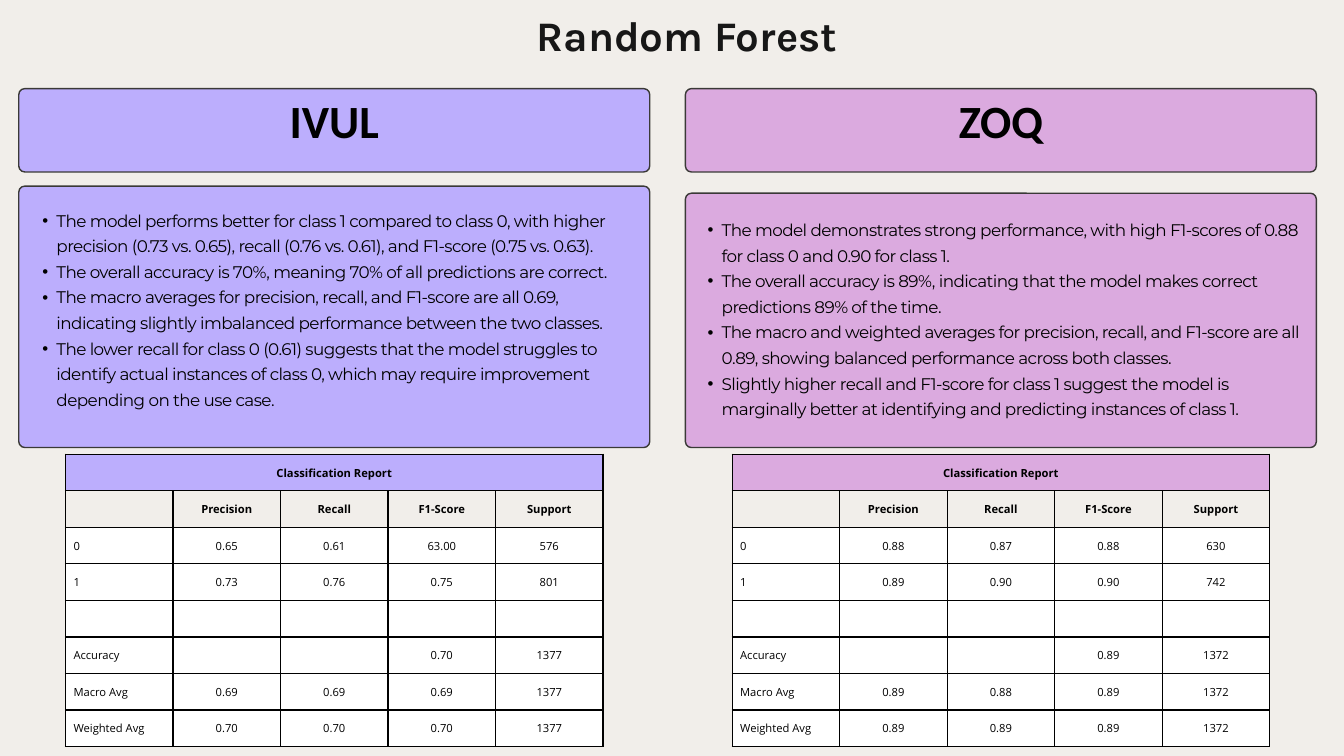
import pptx
import pptx.util
import pptx.dml.color
import pptx.enum.shapes
import pptx.enum.text
from lxml import etree

Pt = pptx.util.Pt
CENTER = pptx.enum.text.PP_ALIGN.CENTER
LEFT = pptx.enum.text.PP_ALIGN.LEFT
MIDDLE = pptx.enum.text.MSO_ANCHOR.MIDDLE
DRAWING = "{http://schemas.openxmlformats.org/drawingml/2006/main}"
BACKGROUND = "F1EEEA"
HEADINGS = ["", "Precision", "Recall", "F1-Score", "Support"]

MODELS = [
    {
        "name": "IVUL", "color": "BCAEFD", "left": 20.16,
        "card_top": 199.44, "text_top": 219.6, "text_left": 10.08,
        "points": [
            "The model performs better for class 1 compared to class 0, with higher precision (0.73 vs. 0.65), recall (0.76 vs. 0.61), and F1-score (0.75 vs. 0.63).",
            "The overall accuracy is 70%, meaning 70% of all predictions are correct.",
            "The macro averages for precision, recall, and F1-score are all 0.69, indicating slightly imbalanced performance between the two classes.",
            "The lower recall for class 0 (0.61) suggests that the model struggles to identify actual instances of class 0, which may require improvement depending on the use case.",
        ],
        "rows": [
            ["0", "0.65", "0.61", "63.00", "576"],
            ["1", "0.73", "0.76", "0.75", "801"],
            [""] * 5,
            ["Accuracy", "", "", "0.70", "1377"],
            ["Macro Avg", "0.69", "0.69", "0.69", "1377"],
            ["Weighted Avg", "0.70", "0.70", "0.70", "1377"],
        ],
    },
    {
        "name": "ZOQ", "color": "DBAADF", "left": 734.4,
        "card_top": 207, "text_top": 229.68, "text_left": 8.64,
        "points": [
            "The model demonstrates strong performance, with high F1-scores of 0.88 for class 0 and 0.90 for class 1.",
            "The overall accuracy is 89%, indicating that the model makes correct predictions 89% of the time.",
            "The macro and weighted averages for precision, recall, and F1-score are all 0.89, showing balanced performance across both classes.",
            "Slightly higher recall and F1-score for class 1 suggest the model is marginally better at identifying and predicting instances of class 1.",
        ],
        "rows": [
            ["0", "0.88", "0.87", "0.88", "630"],
            ["1", "0.89", "0.90", "0.90", "742"],
            [""] * 5,
            ["Accuracy", "", "", "0.89", "1372"],
            ["Macro Avg", "0.89", "0.88", "0.89", "1372"],
            ["Weighted Avg", "0.89", "0.89", "0.89", "1372"],
        ],
    },
]


def rgb(value):
    """Turn a hex string into a colour."""
    return pptx.dml.color.RGBColor.from_string(value)


def style_paragraph(paragraph, font, size, spacing, color="000000", bold=False, align=LEFT):
    """Set the font, line spacing and alignment of a paragraph."""
    paragraph.alignment = align
    paragraph.line_spacing = Pt(spacing)
    paragraph.font.name = font
    paragraph.font.size = Pt(size)
    paragraph.font.bold = bold
    paragraph.font.color.rgb = rgb(color)


def add_text_frame(slide, left, top, width, height):
    """Add a wrapping text box without margins and return its frame."""
    frame = slide.shapes.add_textbox(Pt(left), Pt(top), Pt(width), Pt(height)).text_frame
    frame.word_wrap = True
    frame.margin_left = frame.margin_right = frame.margin_top = frame.margin_bottom = 0
    return frame


def add_heading(slide, text, left, top, width, height, font, size, spacing, color="000000"):
    """Add one centred bold line."""
    paragraph = add_text_frame(slide, left, top, width, height).paragraphs[0]
    paragraph.text = text
    style_paragraph(paragraph, font, size, spacing, color, True, CENTER)


def add_card(slide, left, top, width, height, color):
    """Add an outlined card with small round corners."""
    card = slide.shapes.add_shape(
        pptx.enum.shapes.MSO_SHAPE.ROUNDED_RECTANGLE, Pt(left), Pt(top), Pt(width), Pt(height))
    card.adjustments[0] = 6.4 / min(width, height)
    card.shadow.inherit = False
    card.fill.solid()
    card.fill.fore_color.rgb = rgb(color)
    card.line.color.rgb = rgb("3A3937")
    card.line.width = Pt(1.5)


def add_bullets(slide, points, left, top, width, height):
    """Add the bulleted findings."""
    frame = add_text_frame(slide, left, top, width, height)
    for index, point in enumerate(points):
        paragraph = frame.add_paragraph() if index else frame.paragraphs[0]
        paragraph.text = point
        paragraph.level = 1
        properties = paragraph._p.get_or_add_pPr()
        properties.set("marL", str(Pt(30.24)))
        properties.set("indent", str(Pt(-15.12)))
        etree.SubElement(properties, DRAWING + "buFont", typeface="Arial")
        etree.SubElement(properties, DRAWING + "buChar", char="•")
        style_paragraph(paragraph, "Montserrat", 18, 27.4)
        properties.find(DRAWING + "defRPr").set("spc", "-60")


def add_borders(cell):
    """Draw a black line on every side of a cell."""
    properties = cell._tc.get_or_add_tcPr()
    for side in ("lnL", "lnR", "lnT", "lnB"):
        line = etree.SubElement(properties, DRAWING + side, w=str(Pt(1.5)))
        fill = etree.SubElement(line, DRAWING + "solidFill")
        etree.SubElement(fill, DRAWING + "srgbClr", val="000000")


def add_report(slide, model, left, top, width, height):
    """Add the classification report table."""
    rows = [["Classification Report", "", "", "", ""], HEADINGS] + model["rows"]
    fills = [model["color"], BACKGROUND] + ["FFFFFF"] * len(model["rows"])
    table = slide.shapes.add_table(
        len(rows), len(HEADINGS), Pt(left), Pt(top), Pt(width), Pt(height)).table
    table.first_row = table.horz_banding = False
    for row_index, (values, fill) in enumerate(zip(rows, fills)):
        header = row_index < 2
        for column_index, value in enumerate(values):
            cell = table.cell(row_index, column_index)
            add_borders(cell)
            cell.fill.solid()
            cell.fill.fore_color.rgb = rgb(fill)
            cell.vertical_anchor = MIDDLE
            cell.margin_left = cell.margin_right = cell.margin_top = cell.margin_bottom = Pt(8.64)
            cell.text = value
            align = CENTER if header or column_index else LEFT
            style_paragraph(cell.text_frame.paragraphs[0], "Open Sans", 12, 16.8,
                            bold=header, align=align)
    table.cell(0, 0).merge(table.cell(0, len(HEADINGS) - 1))


def add_model(slide, model, left, top, width, bottom):
    """Add one model's name, findings and report in a column."""
    color, card_top, text_top = model["color"], model["card_top"], model["text_top"]
    cards_bottom = top + 384.5
    add_card(slide, left, top, width, 89.28, color)
    add_heading(slide, model["name"], left, top + 10, width, 64, "Calibri", 49.5, 53)
    add_card(slide, left, card_top, width, cards_bottom - card_top, color)
    add_bullets(slide, model["points"], left + model["text_left"], text_top, 657,
                cards_bottom - text_top - 20)
    report_top = cards_bottom + 7.2
    add_report(slide, model, left + 50, report_top, 576, bottom - report_top)


def main():
    """Build and save the slide."""
    presentation = pptx.Presentation()
    presentation.slide_width = Pt(1440)
    presentation.slide_height = Pt(810)
    slide = presentation.slides.add_slide(presentation.slide_layouts[6])
    slide.background.fill.solid()
    slide.background.fill.fore_color.rgb = rgb(BACKGROUND)
    add_heading(slide, "Random Forest", 568.8, 1.44, 334, 60.5, "Karla", 45, 63, "171717")
    for model in MODELS:
        add_model(slide, model, model["left"], 95, 676, 800)
    presentation.save("out.pptx")


if __name__ == "__main__":
    main()
